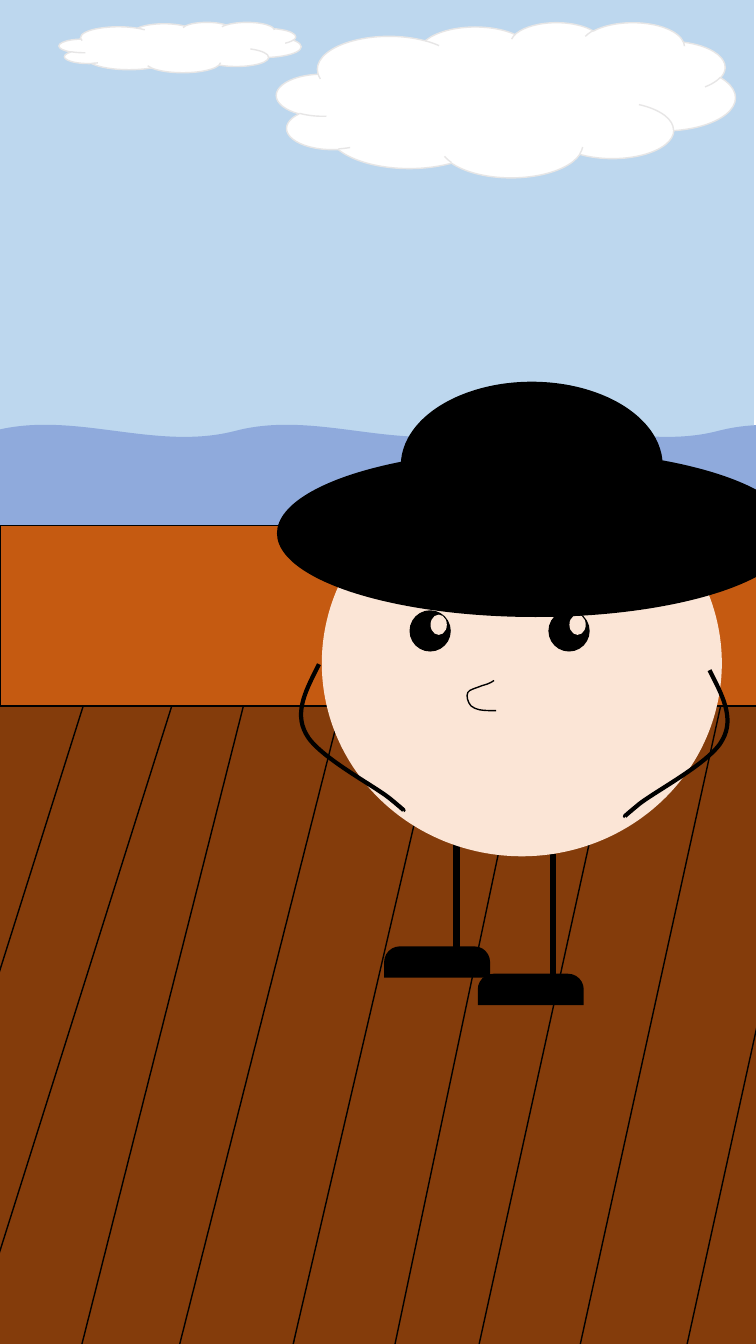
from dataclasses import dataclass
from typing import Optional

from lxml import etree
from pptx import Presentation
from pptx.dml.color import RGBColor
from pptx.enum.shapes import MSO_CONNECTOR, MSO_SHAPE
from pptx.oxml.ns import qn
from pptx.util import Cm, Pt

RECTANGLE = MSO_SHAPE.RECTANGLE
OVAL = MSO_SHAPE.OVAL
CLOUD = MSO_SHAPE.CLOUD
WAVE = MSO_SHAPE.DOUBLE_WAVE
SHOE = MSO_SHAPE.ROUND_2_SAME_RECTANGLE
STRAIGHT = MSO_CONNECTOR.STRAIGHT

BLACK, WHITE, SKIN = "000000", "FFFFFF", "FBE5D6"
SKY, SEA, CLOUD_EDGE = "BDD7EE", "8FAADC", "E7E6E6"
WALL, PLANK = "C55A11", "843C0B"

BLANK_LAYOUT = 6


@dataclass
class Item:
    """A filled preset shape, measured in centimetres."""
    kind: int
    left: float
    top: float
    width: float
    height: float
    fill: str
    line: Optional[str] = None
    rotation: float = 0


@dataclass
class Curve:
    """A chain of cubic curves; offsets are centimetres from the start."""
    start: tuple[float, float]
    offsets: list[tuple[float, float]]
    weight: float
    mirror: int = 1


def color(value: str) -> RGBColor:
    return RGBColor.from_string(value)


def draw_item(shapes, item: Item):
    shape = shapes.add_shape(item.kind, Cm(item.left), Cm(item.top),
                             Cm(item.width), Cm(item.height))
    shape.shadow.inherit = False
    shape.rotation = item.rotation
    shape.fill.solid()
    shape.fill.fore_color.rgb = color(item.fill)
    if item.line:
        shape.line.color.rgb = color(item.line)
        shape.line.width = Pt(1)
    else:
        shape.line.fill.background()
    return shape


def draw_leg(shapes, x: float, top: float, length: float) -> None:
    leg = shapes.add_connector(STRAIGHT, Cm(x), Cm(top), Cm(x), Cm(top + length))
    leg.line.color.rgb = color(BLACK)
    leg.line.width = Pt(4.5)
    etree.SubElement(leg._element.spPr, qn("a:effectLst"))


def bend_segments(shape) -> None:
    """Turn each three line segments of the outline into one cubic curve."""
    segments = list(shape._element.iter(qn("a:lnTo")))
    for first in range(0, len(segments), 3):
        bend, *others = segments[first:first + 3]
        bend.tag = qn("a:cubicBezTo")
        for segment in others:
            bend.append(segment[0])
            segment.getparent().remove(segment)


def draw_curve(shapes, curve: Curve) -> None:
    x, y = curve.start
    builder = shapes.build_freeform(Cm(x), Cm(y))
    builder.add_line_segments([(Cm(x + curve.mirror * dx), Cm(y + dy))
                               for dx, dy in curve.offsets], close=False)
    shape = builder.convert_to_shape()
    bend_segments(shape)
    shape.shadow.inherit = False
    shape.fill.background()
    shape.line.color.rgb = color(BLACK)
    shape.line.width = Pt(curve.weight)


# Sky and clouds
SKY_ITEMS = [
    Item(RECTANGLE, -0.05, -0.08, 19.05, 33.86, SKY),
    Item(CLOUD, 6.97, 0.56, 11.56, 3.91, WHITE, CLOUD_EDGE),
    Item(CLOUD, 1.49, 0.56, 6.1, 1.27, WHITE, CLOUD_EDGE),
]

# Sea: two rows of two waves, each row given by its left and top
WAVE_WIDTH, WAVE_HEIGHT = 12.17, 2.54
WAVE_ROWS = [(-0.15, 10.7), (-2.29, 11.43)]

# Deck planks: left, top, width, height, rotation
PLANKS = [
    (8.76, 17.45, 3.43, 18.64, 10.7),
    (11.33, 17.27, 2.59, 20.42, 11.9),
    (13.61, 17.17, 2.72, 19.74, 12.4),
    (6.25, 16.97, 2.84, 18.87, 13.1),
    (1.47, 17.17, 2.64, 17.3, 14.3),
    (4.06, 16.59, 2.39, 19.1, 14.2),
    (-1.96, 16.54, 2.06, 16.18, 16.2),
    (-0.18, 17.09, 2.13, 16.18, 17.5),
    (16.08, 17.53, 2.72, 19.74, 12.4),
    (18.47, 18.9, 2.72, 19.74, 12.4),
]
DECK_WALL = Item(RECTANGLE, 0, 13.24, 19.1, 4.55, WALL, BLACK)

# Figure
LEGS = [(13.94, 21.51), (11.5, 21.0)]
LEG_LENGTH = 3.48
BODY = Item(OVAL, 8.11, 11.85, 10.08, 9.73, SKIN)
SHOES = [(9.68, 23.85), (12.04, 24.54)]
EYE_LEFTS = [13.82, 10.32]
HAT = [
    Item(OVAL, 10.1, 9.62, 6.6, 4.22, BLACK),
    Item(OVAL, 6.98, 11.33, 13.03, 4.22, BLACK),
]
ARM = [
    (0.3, 0.6), (0.64, 1.19), (0.33, 1.75),
    (0.05, 2.31), (-1.37, 3.05), (-1.78, 3.38),
    (-2.18, 3.71), (-2.13, 3.68), (-2.13, 3.68),
]
NOSE = [
    (-0.03, 0.03), (-0.03, 0.03), (-0.08, 0.05),
    (-0.13, 0.08), (-0.2, 0.1), (-0.3, 0.13),
    (-0.41, 0.18), (-0.64, 0.23), (-0.66, 0.3),
    (-0.71, 0.38), (-0.66, 0.56), (-0.58, 0.64),
    (-0.53, 0.69), (-0.46, 0.71), (-0.36, 0.74),
    (-0.25, 0.76), (-0.08, 0.76), (0.05, 0.76),
]
CURVES = [
    Curve((17.88, 16.89), ARM, 3),
    Curve((8.04, 16.74), ARM, 3, mirror=-1),
    Curve((12.45, 17.15), NOSE, 1),
]


def draw_scenery(shapes) -> None:
    for item in SKY_ITEMS:
        draw_item(shapes, item)
    for left, top in WAVE_ROWS:
        row = shapes.add_group_shape().shapes
        for column in range(2):
            draw_item(row, Item(WAVE, left + column * WAVE_WIDTH, top,
                                WAVE_WIDTH, WAVE_HEIGHT, SEA))
    for left, top, width, height, rotation in PLANKS:
        draw_item(shapes, Item(RECTANGLE, left, top, width, height,
                               PLANK, BLACK, rotation))
    draw_item(shapes, DECK_WALL)


def draw_figure(shapes) -> None:
    for x, top in LEGS:
        draw_leg(shapes, x, top, LEG_LENGTH)
    draw_item(shapes, BODY)
    for left, top in SHOES:
        shoe = draw_item(shapes, Item(SHOE, left, top, 2.67, 0.79, BLACK))
        shoe.adjustments[0] = 0.5
        shoe.adjustments[1] = 0
    for curve in CURVES:
        draw_curve(shapes, curve)
    for left in EYE_LEFTS:
        draw_item(shapes, Item(OVAL, left, 15.38, 1.04, 1.04, BLACK))
        draw_item(shapes, Item(OVAL, left + 0.53, 15.49, 0.41, 0.51, SKIN))
    for item in HAT:
        draw_item(shapes, item)


def main() -> None:
    presentation = Presentation()
    presentation.slide_width = Cm(19.05)
    presentation.slide_height = Cm(33.87)
    slide = presentation.slides.add_slide(presentation.slide_layouts[BLANK_LAYOUT])
    draw_scenery(slide.shapes)
    draw_figure(slide.shapes.add_group_shape().shapes)
    presentation.save("out.pptx")


if __name__ == "__main__":
    main()
